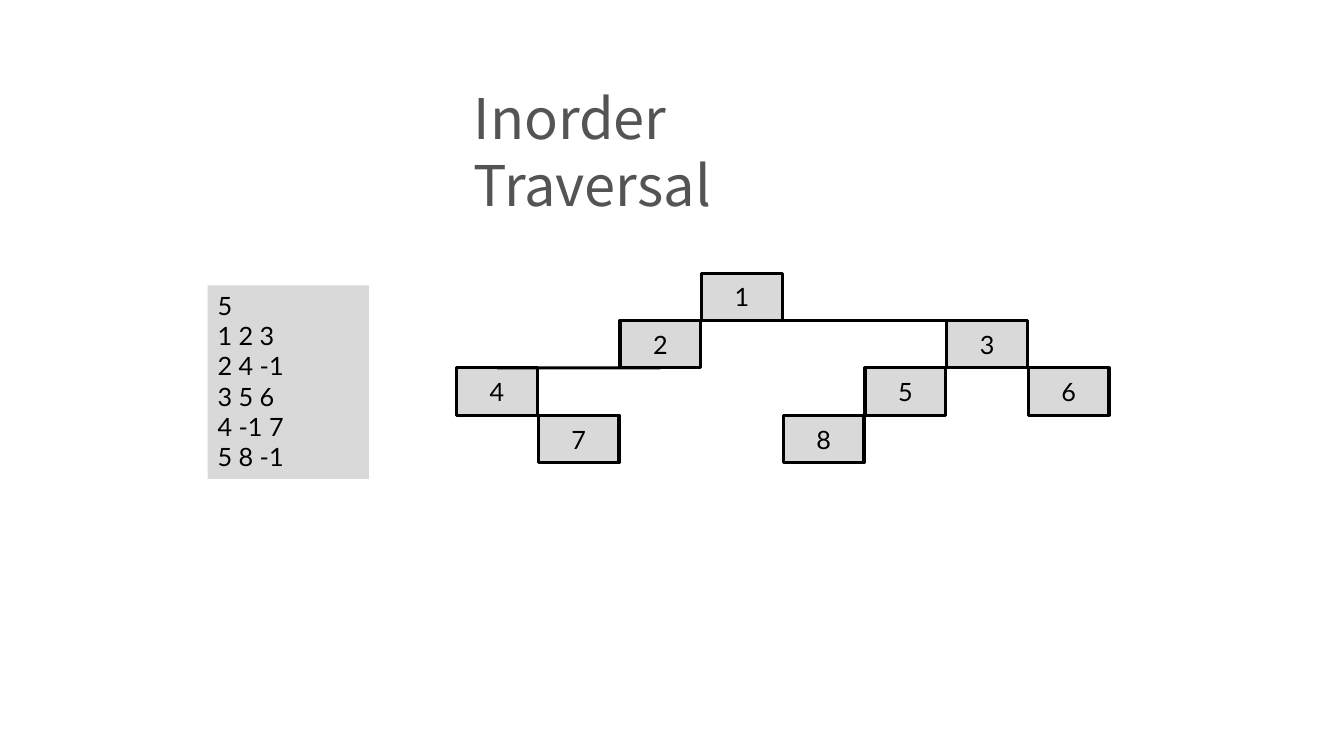
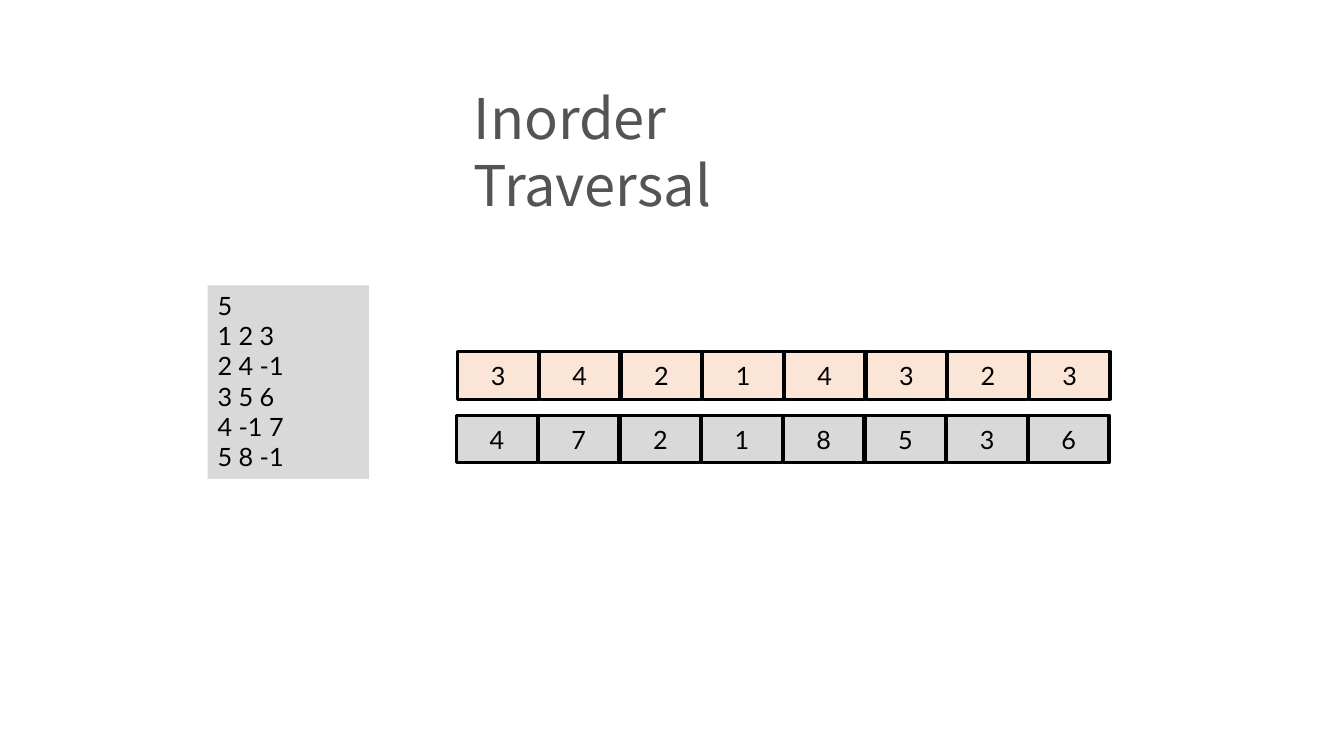
from lxml.etree import SubElement
from pptx import Presentation
from pptx.dml.color import RGBColor
from pptx.enum.shapes import MSO_CONNECTOR, MSO_SHAPE
from pptx.enum.text import MSO_ANCHOR, PP_ALIGN
from pptx.oxml.ns import qn
from pptx.util import Inches, Pt

COLORS = {"ink": "000000", "title": "545454", "node": "D9D9D9", "depth": "FBE5D6"}
FONTS = {"body": "Lato", "title": "Noto Sans CJK KR"}
INPUT_LINES = ["5", "1 2 3", "2 4 -1", "3 5 6", "4 -1 7", "5 8 -1"]
INORDER = [4, 7, 2, 1, 8, 5, 3, 6]
DEPTHS = [3, 4, 2, 1, 4, 3, 2, 3]
NODE_W, NODE_H = 0.8, 0.47
COL_STEP, ROW_STEP = 0.81, 0.47
LINE_W = 2.25


def color(name):
    """Return the RGB value of a named colour."""
    return RGBColor.from_string(COLORS[name])


def write(tf, text, size=18, font="body", ink="ink", align=PP_ALIGN.LEFT,
          anchor=MSO_ANCHOR.TOP):
    """Fill a text frame with one paragraph per line of text."""
    tf.word_wrap = True
    tf.vertical_anchor = anchor
    for i, line in enumerate(text.split("\n")):
        p = tf.paragraphs[0] if i == 0 else tf.add_paragraph()
        p.alignment = align
        r = p.add_run()
        r.text = line
        r.font.size = Pt(size)
        r.font.name = FONTS[font]
        r.font.color.rgb = color(ink)


def add_box(shapes, x, y, w, h, fill, outlined=False):
    """Add a filled rectangle, with a black outline if wanted."""
    sp = shapes.add_shape(MSO_SHAPE.RECTANGLE, *map(Inches, (x, y, w, h)))
    sp.shadow.inherit = False
    sp.fill.solid()
    sp.fill.fore_color.rgb = color(fill)
    if outlined:
        sp.line.color.rgb = color("ink")
        sp.line.width = Pt(LINE_W)
    else:
        sp.line.fill.background()
    return sp


def add_node(shapes, x, y, value, fill="node"):
    """Add one numbered node."""
    sp = add_box(shapes, x, y, NODE_W, NODE_H, fill, outlined=True)
    write(sp.text_frame, str(value), align=PP_ALIGN.CENTER, anchor=MSO_ANCHOR.MIDDLE)


def add_edge(shapes, start, end):
    """Draw a straight line between two points."""
    line = shapes.add_connector(MSO_CONNECTOR.STRAIGHT, *map(Inches, start + end))
    line.line.color.rgb = color("ink")
    line.line.width = Pt(LINE_W)
    SubElement(line._element.spPr, qn("a:effectLst"))


def add_tree(shapes, x, y):
    """Place each node by inorder position across and by depth down."""
    tops = {}
    for col, (value, depth) in enumerate(zip(INORDER, DEPTHS)):
        left, top = x + col * COL_STEP, y + (depth - 1) * ROW_STEP
        add_node(shapes, left, top, value)
        tops[value] = (left + NODE_W / 2, top)
    for parent, child in [(2, 4), (1, 3)]:
        px, py = tops[parent]
        add_edge(shapes, (px, py + NODE_H), tops[child])


def add_row(shapes, x, y, values, fill):
    """Place a grouped row of nodes."""
    group = shapes.add_group_shape()
    for col, value in enumerate(values):
        add_node(group.shapes, x + col * COL_STEP, y, value, fill)


def add_slide(prs):
    """Add a slide with the shared title and input listing."""
    s = prs.slides.add_slide(prs.slide_layouts[6])
    title = s.shapes.add_textbox(*map(Inches, (4.6, 0.78, 4.13, 0.77)))
    write(title.text_frame, "Inorder Traversal", size=40, font="title", ink="title")
    listing = add_box(s.shapes, 2.06, 2.83, 1.6, 1.92, "node")
    write(listing.text_frame, "\n".join(INPUT_LINES))
    return s


prs = Presentation()
prs.slide_width, prs.slide_height = Inches(13.33), Inches(7.5)
add_tree(add_slide(prs).shapes, 4.53, 2.71)
s = add_slide(prs)
add_row(s.shapes, 4.53, 4.12, INORDER, "node")
add_row(s.shapes, 4.54, 3.49, DEPTHS, "depth")
prs.save("out.pptx")
